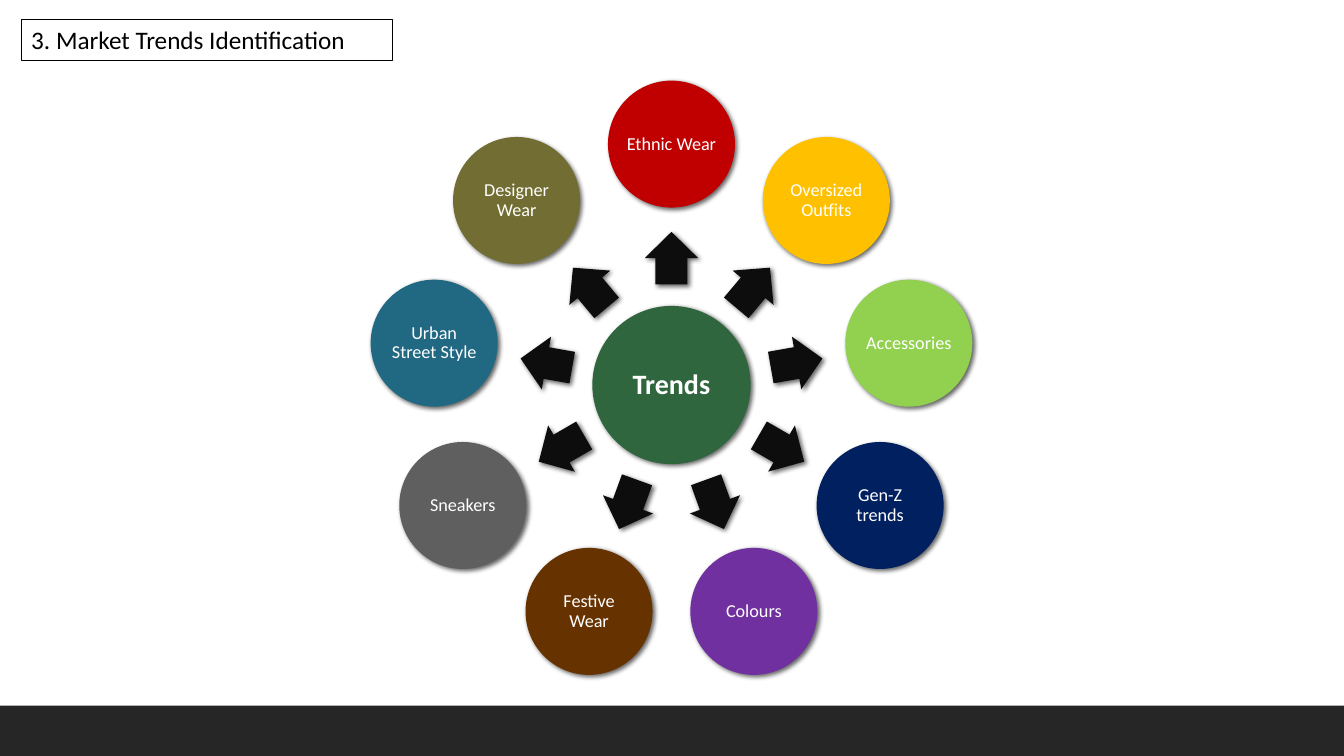
"""Build the market trends slide: nine trends radiating from a central hub."""
import math

from lxml import etree
from pptx import Presentation
from pptx.dml.color import RGBColor
from pptx.enum.shapes import MSO_SHAPE
from pptx.enum.text import MSO_ANCHOR, MSO_AUTO_SIZE, PP_ALIGN
from pptx.util import Inches, Pt

OVAL, ARROW, RECTANGLE = MSO_SHAPE.OVAL, MSO_SHAPE.RIGHT_ARROW, MSO_SHAPE.RECTANGLE
MIDDLE, TOP = MSO_ANCHOR.MIDDLE, MSO_ANCHOR.TOP
CENTER, LEFT = PP_ALIGN.CENTER, PP_ALIGN.LEFT
NO_AUTOFIT = MSO_AUTO_SIZE.NONE

FONT = "Calibri"
WHITE = RGBColor(0xFF, 0xFF, 0xFF)
BLACK = RGBColor(0x00, 0x00, 0x00)
FOOTER_GRAY = RGBColor(0x26, 0x26, 0x26)
ARROW_BLACK = RGBColor(0x0D, 0x0D, 0x0D)
HUB_GREEN = RGBColor(0x2F, 0x66, 0x3E)
RED = RGBColor(0xC0, 0x00, 0x00)
AMBER = RGBColor(0xFF, 0xC0, 0x00)
LIME = RGBColor(0x92, 0xD0, 0x50)
NAVY = RGBColor(0x00, 0x20, 0x60)
PURPLE = RGBColor(0x70, 0x30, 0xA0)
BROWN = RGBColor(0x66, 0x33, 0x00)
GRAY = RGBColor(0x5F, 0x5F, 0x5F)
TEAL = RGBColor(0x21, 0x69, 0x83)
OLIVE = RGBColor(0x72, 0x6D, 0x32)

TRENDS = [
    ("Ethnic Wear", RED),
    ("Oversized Outfits", AMBER),
    ("Accessories", LIME),
    ("Gen-Z trends", NAVY),
    ("Colours", PURPLE),
    ("Festive Wear", BROWN),
    ("Sneakers", GRAY),
    ("Urban Street Style", TEAL),
    ("Designer Wear", OLIVE),
]

CENTER_X, CENTER_Y = 6.66, 3.82
HUB_DIAMETER, TREND_DIAMETER = 1.57, 1.26
ARROW_WIDTH, ARROW_HEIGHT = 0.52, 0.53
ARROW_RADIUS, TREND_RADIUS = 1.26, 2.39

SHADOW = (
    '<a:effectLst xmlns:a="http://schemas.openxmlformats.org/drawingml/2006/main">'
    '<a:outerShdw blurRad="44450" dist="25400" dir="2700000" algn="tl" rotWithShape="0">'
    '<a:srgbClr val="000000"><a:alpha val="60000"/></a:srgbClr>'
    '</a:outerShdw></a:effectLst>'
)


def add_shadowed_shape(kind, x, y, width, height, color):
    shape = slide.shapes.add_shape(
        kind, Inches(x - width / 2), Inches(y - height / 2), Inches(width), Inches(height)
    )
    shape.fill.solid()
    shape.fill.fore_color.rgb = color
    shape.line.fill.background()
    shape._element.spPr.append(etree.fromstring(SHADOW))
    return shape


def add_circle(text, x, y, diameter, color, size, bold=False):
    circle = add_shadowed_shape(OVAL, x, y, diameter, diameter, color)
    frame = circle.text_frame
    frame.word_wrap = True
    frame.vertical_anchor = MIDDLE
    frame.margin_left = frame.margin_right = 0
    frame.margin_top = frame.margin_bottom = 0
    paragraph = frame.paragraphs[0]
    paragraph.text = text
    paragraph.alignment = CENTER
    paragraph.line_spacing = 0.9
    paragraph.font.name = FONT
    paragraph.font.size = Pt(size)
    paragraph.font.bold = bold
    paragraph.font.color.rgb = WHITE


presentation = Presentation()
presentation.slide_width = Inches(13.33)
presentation.slide_height = Inches(7.5)
slide = presentation.slides.add_slide(presentation.slide_layouts[5])

footer = slide.shapes.add_shape(RECTANGLE, 0, Inches(7), Inches(13.33), Inches(0.5))
footer.shadow.inherit = False
footer.fill.solid()
footer.fill.fore_color.rgb = FOOTER_GRAY
footer.line.fill.background()

title = slide.shapes.title
title.left, title.top = Inches(0.21), Inches(0.19)
title.width, title.height = Inches(3.68), Inches(0.41)
title.line.color.rgb = BLACK
title.line.width = Pt(0.75)
title.text_frame.auto_size = NO_AUTOFIT
title.text_frame.vertical_anchor = TOP
heading = title.text_frame.paragraphs[0]
heading.text = "3. Market Trends Identification"
heading.alignment = LEFT
heading.font.name = FONT
heading.font.size = Pt(18)
heading.font.color.rgb = BLACK

add_circle("Trends", CENTER_X, CENTER_Y, HUB_DIAMETER, HUB_GREEN, 20, bold=True)

for index, (trend, color) in enumerate(TRENDS):
    degrees = index * 360 / len(TRENDS) - 90
    cosine, sine = math.cos(math.radians(degrees)), math.sin(math.radians(degrees))
    arrow = add_shadowed_shape(
        ARROW,
        CENTER_X + ARROW_RADIUS * cosine,
        CENTER_Y + ARROW_RADIUS * sine,
        ARROW_WIDTH,
        ARROW_HEIGHT,
        ARROW_BLACK,
    )
    arrow.rotation = degrees % 360
    arrow.adjustments[0] = 0.6
    arrow.adjustments[1] = 0.5
    add_circle(
        trend,
        CENTER_X + TREND_RADIUS * cosine,
        CENTER_Y + TREND_RADIUS * sine,
        TREND_DIAMETER,
        color,
        13,
    )

presentation.save("out.pptx")
